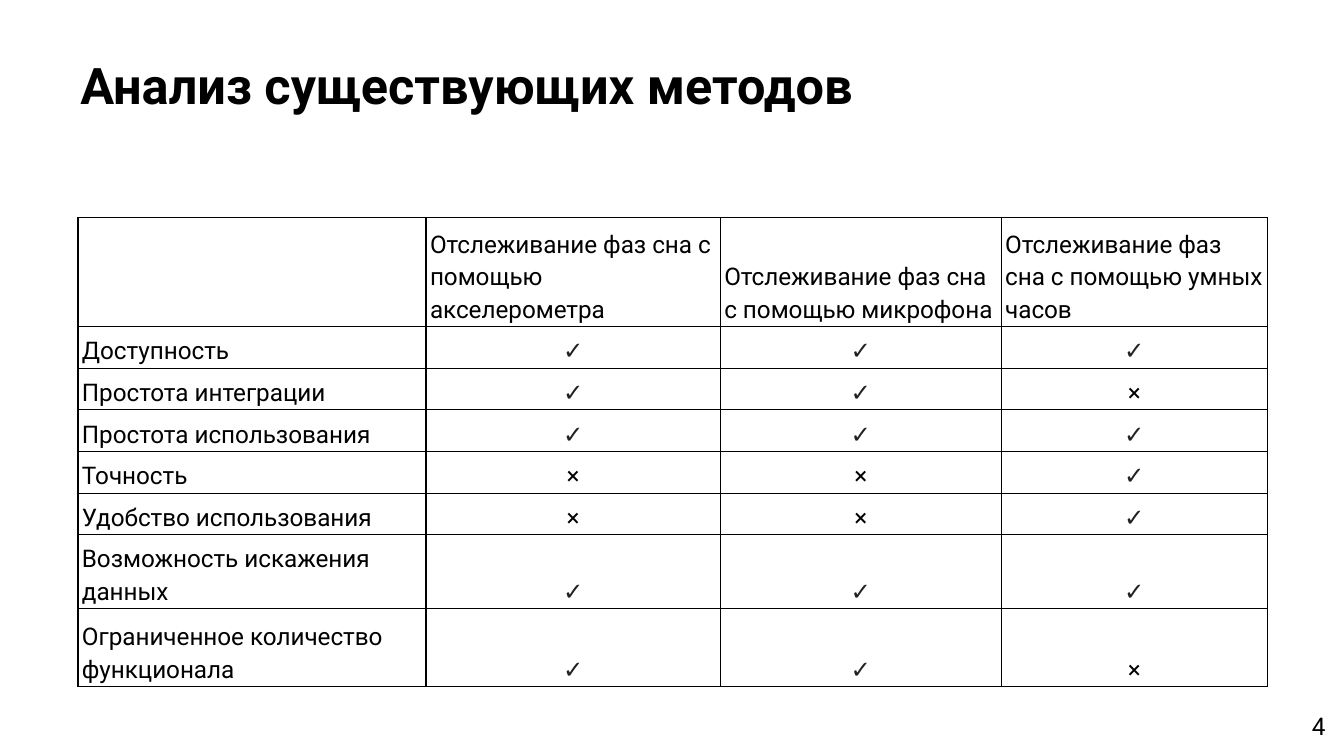
from dataclasses import dataclass

from lxml.etree import SubElement as Sub
from pptx import Presentation
from pptx.dml.color import RGBColor as RGB
from pptx.enum.text import MSO_ANCHOR as Anchor, PP_ALIGN as Align
from pptx.oxml.ns import qn
from pptx.util import Inches, Pt


@dataclass(frozen=True)
class Theme:
    font: str = "Roboto"
    ink: str = "000000"
    tick: str = "202122"
    head: int = 27
    body: int = 13
    rule: float = 0.75


YES, NO = "✓", "×"
COLS = [2.59, 2.19, 2.09, 1.98]
ROWS = [0.81] + [0.31] * 5 + [0.55, 0.58]
METHODS = ["акселерометра", "микрофона", "умных часов"]
TRAITS = [
    ("Доступность", YES, YES, YES),
    ("Простота интеграции", YES, YES, NO),
    ("Простота использования", YES, YES, YES),
    ("Точность", NO, NO, YES),
    ("Удобство использования", NO, NO, YES),
    ("Возможность искажения данных", YES, YES, YES),
    ("Ограниченное количество функционала", YES, YES, NO),
]


def write(frame, text, font, size, color, bold=False, align=Align.LEFT, line=None):
    """Put one formatted paragraph into a text frame."""
    par = frame.paragraphs[0]
    par.alignment = align
    if line:
        par.line_spacing = line
    run = par.add_run()
    run.text = text
    run.font.name = font
    run.font.size = Pt(size)
    run.font.bold = bold
    run.font.color.rgb = RGB.from_string(color)


def inset(item, x, y):
    item.margin_left = item.margin_right = Inches(x)
    item.margin_top = item.margin_bottom = Inches(y)


class Deck:
    def __init__(self, theme, slide):
        self.theme = theme
        self.slide = slide

    def label(self, text, box, size, pad, anchor=Anchor.TOP, **style):
        shape = self.slide.shapes.add_textbox(*map(Inches, box))
        frame = shape.text_frame
        frame.word_wrap = True
        frame.vertical_anchor = anchor
        inset(frame, 0.1, pad)
        write(frame, text, self.theme.font, size, self.theme.ink, **style)

    def border(self, cell):
        props = cell._tc.get_or_add_tcPr()
        for side in ("lnL", "lnR", "lnT", "lnB"):
            line = Sub(props, qn(f"a:{side}"), w=str(Pt(self.theme.rule)))
            fill = Sub(line, qn("a:solidFill"))
            Sub(fill, qn("a:srgbClr"), val=self.theme.ink)

    def cell(self, cell, text):
        mark = text in (YES, NO)
        inset(cell, 0.03, 0.02)
        cell.vertical_anchor = Anchor.BOTTOM
        self.border(cell)
        cell.fill.background()
        if text:
            write(cell.text_frame, text, self.theme.font, self.theme.body,
                  self.theme.tick if text == YES else self.theme.ink,
                  align=Align.CENTER if mark else Align.LEFT, line=1.15)

    def table(self, data, left, top, cols, rows):
        box = map(Inches, (left, top, sum(cols), sum(rows)))
        grid = self.slide.shapes.add_table(len(rows), len(cols), *box).table
        grid.first_row = grid.horz_banding = False
        for col, width in zip(grid.columns, cols):
            col.width = Inches(width)
        for row, height, texts in zip(grid.rows, rows, data):
            row.height = Inches(height)
            for cell, text in zip(row.cells, texts):
                self.cell(cell, text)


def main():
    show = Presentation()
    # Wide page, 16:9
    show.slide_width = Inches(10)
    show.slide_height = show.slide_width * 9 // 16
    theme = Theme()
    deck = Deck(theme, show.slides.add_slide(show.slide_layouts[6]))

    # Title
    deck.label("Анализ существующих методов", (0.5, 0.34, 7.46, 0.58),
               theme.head, 0.05, Anchor.MIDDLE, bold=True)

    # Comparison of methods
    heads = [""] + [f"Отслеживание фаз сна с помощью {name}" for name in METHODS]
    deck.table([heads, *TRAITS], 0.58, 1.62, COLS, ROWS)

    # Page number
    deck.label("4", (9.36, 5.19, 0.6, 0.43), theme.body, 0.1, align=Align.RIGHT)

    show.save("out.pptx")


if __name__ == "__main__":
    main()
